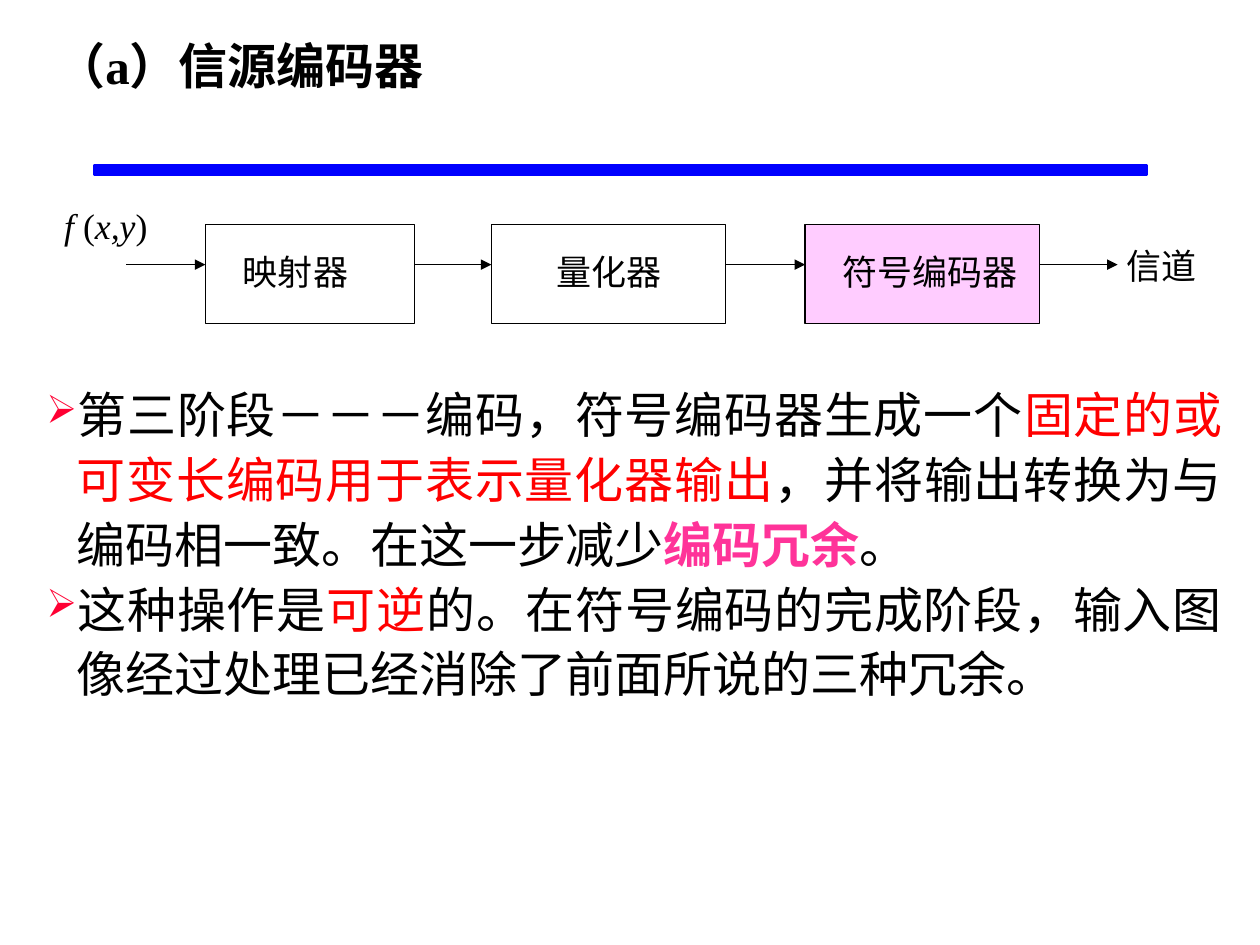
from lxml import etree
from pptx import Presentation
from pptx.dml.color import RGBColor
from pptx.enum import shapes, text
from pptx.oxml.ns import qn
from pptx.util import Inches, Pt

BLACK = RGBColor(0x00, 0x00, 0x00)
WHITE = RGBColor(0xFF, 0xFF, 0xFF)
BLUE = RGBColor(0x00, 0x00, 0xFF)
RED = RGBColor(0xFF, 0x00, 0x00)
ROSE = RGBColor(0xFF, 0x33, 0x99)
PINK = RGBColor(0xFF, 0xCC, 0xFF)
BULLET = RGBColor(0xFF, 0x00, 0x33)


def add_run(p, words, size=20, color=BLACK, bold=False, italic=False):
    r = p.add_run()
    r.text = words
    f = r.font
    f.name, f.size, f.bold, f.italic = "Times New Roman", Pt(size), bold, italic
    f.color.rgb = color


def add_bullet(p, indent):
    """Give the paragraph a hanging arrow bullet."""
    pPr = p._p.get_or_add_pPr()
    pPr.set("marL", str(indent))
    pPr.set("indent", str(-indent))
    clr = etree.SubElement(pPr, qn("a:buClr"))
    etree.SubElement(clr, qn("a:srgbClr"), val=str(BULLET))
    etree.SubElement(pPr, qn("a:buSzPct"), val="80000")
    etree.SubElement(pPr, qn("a:buChar"), char="➢")


class SlideBuilder:
    def __init__(self, slide):
        self.shapes = slide.shapes
        self.line_width = Pt(0.75)

    def box(self, x, y, w, h, fill=WHITE, line=BLACK, width=None):
        sp = self.shapes.add_shape(shapes.MSO_SHAPE.RECTANGLE,
                                   Inches(x), Inches(y), Inches(w), Inches(h))
        sp.shadow.inherit = False
        sp.fill.solid()
        sp.fill.fore_color.rgb = fill
        sp.line.color.rgb = line
        sp.line.width = width or self.line_width

    def arrow(self, x1, x2, y):
        sp = self.shapes.add_connector(shapes.MSO_CONNECTOR.STRAIGHT,
                                       Inches(x1), Inches(y), Inches(x2), Inches(y))
        sp.line.color.rgb = BLACK
        sp.line.width = self.line_width
        etree.SubElement(sp.line._get_or_add_ln(), qn("a:tailEnd"), type="triangle")
        etree.SubElement(sp._element.spPr, qn("a:effectLst"))

    def text(self, x, y, w, h, paragraphs, inset=True, justify=True,
             grow=False, bullets=False):
        """Add a text box; each paragraph is a list of (words, format) runs."""
        sp = self.shapes.add_textbox(Inches(x), Inches(y), Inches(w), Inches(h))
        tf = sp.text_frame
        tf.word_wrap = True
        tf.auto_size = (text.MSO_AUTO_SIZE.SHAPE_TO_FIT_TEXT if grow
                        else text.MSO_AUTO_SIZE.NONE)
        tf.margin_left = tf.margin_right = Inches(0.1 if inset else 0)
        tf.margin_top = tf.margin_bottom = Inches(0.05 if inset else 0)
        for i, runs in enumerate(paragraphs):
            p = tf.add_paragraph() if i else tf.paragraphs[0]
            if bullets:
                add_bullet(p, Inches(0.24))
                p.line_spacing = 1.1
            p.alignment = text.PP_ALIGN.JUSTIFY if justify else text.PP_ALIGN.LEFT
            for words, fmt in runs:
                add_run(p, words, **fmt)


def main():
    prs = Presentation()
    prs.slide_width, prs.slide_height = Inches(10), Inches(7.5)
    s = SlideBuilder(prs.slides.add_slide(prs.slide_layouts[6]))

    s.box(0.75, 1.31, 8.35, 0.08, fill=BLUE, line=BLUE, width=Pt(1.5))
    s.text(0.35, 0.23, 3.62, 0.57,
           [[("（a）信源编码器", dict(size=28, bold=True))]],
           justify=False, grow=True)

    # Source encoder chain: left, width, fill, label, label left, label width
    stages = [
        (1.63, 1.66, WHITE, "映射器", 1.83, 1.24),
        (3.9, 1.86, WHITE, "量化器", 4.32, 1.24),
        (6.39, 1.86, PINK, "符号编码器", 6.59, 1.66),
    ]
    arrow_start = 1
    for left, width, fill, label, label_left, label_width in stages:
        s.box(left, 1.78, width, 0.79, fill=fill)
        s.text(label_left, 1.94, label_width, 0.47, [[(label, {})]])
        s.arrow(arrow_start, left, 2.1)
        arrow_start = left + width
    s.arrow(arrow_start, 8.87, 2.1)

    upright, italic = dict(size=20.4), dict(size=20.4, italic=True)
    s.text(0.51, 1.62, 0.7, 0.39,
           [[("f ", italic), ("(", upright), ("x,y", italic), (")", upright)]],
           inset=False)
    s.text(8.94, 1.94, 0.79, 0.47, [[("信道", {})]], inset=False)

    body, red = dict(size=28), dict(size=28, color=RED)
    s.text(0.27, 2.96, 9.53, 2.67, [
        [("第三阶段－－－编码，符号编码器生成一个", body),
         ("固定的或可变长编码用于表示量化器输出", red),
         ("，并将输出转换为与编码相一致。在这一步减少", body),
         ("编码冗余", dict(size=28, color=ROSE, bold=True)),
         ("。", body)],
        [("这种操作是", body),
         ("可逆", red),
         ("的。在符号编码的完成阶段，输入图像经过处理已经消除了前面所说的三种冗余。", body)],
    ], grow=True, bullets=True)

    prs.save("out.pptx")


if __name__ == "__main__":
    main()
